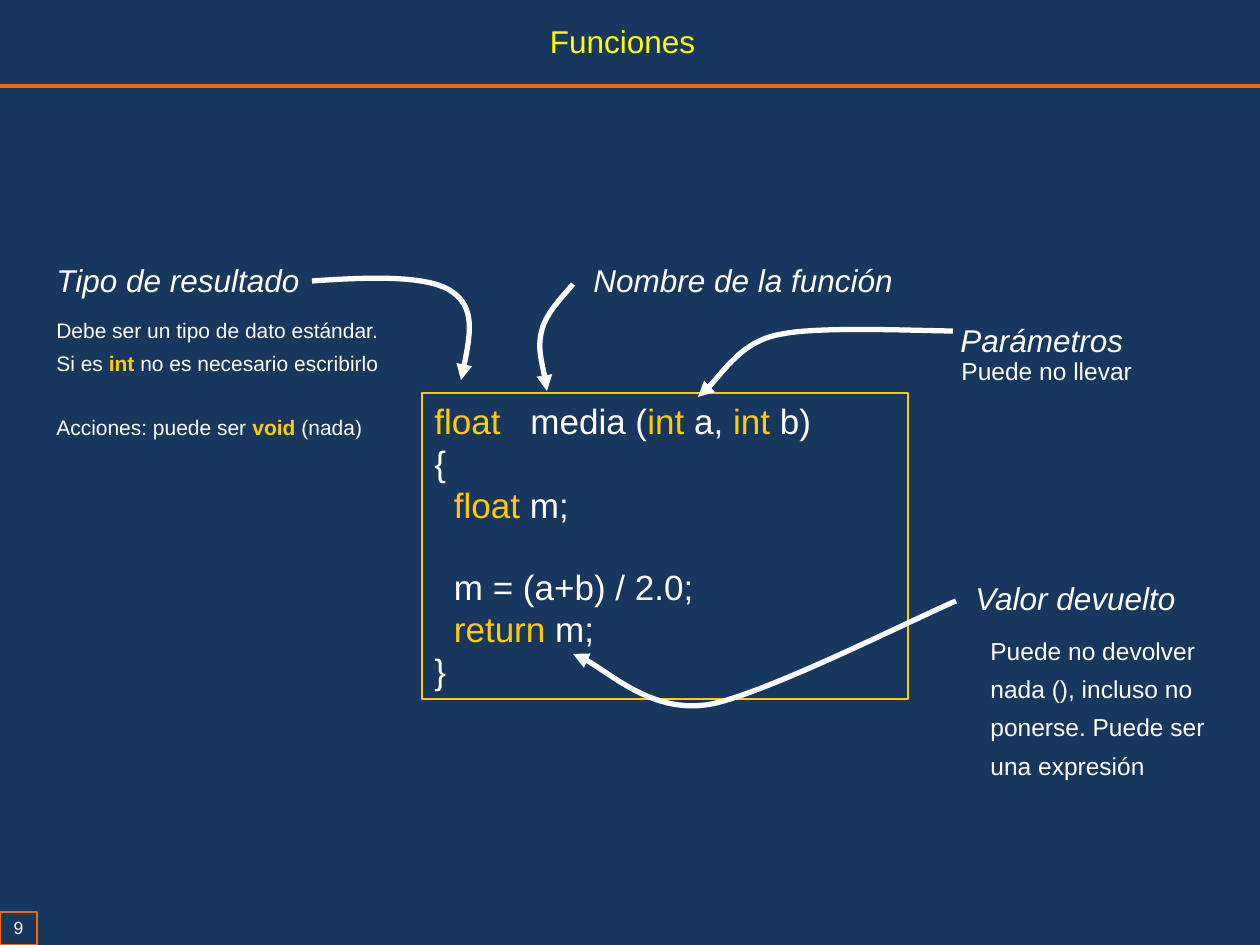
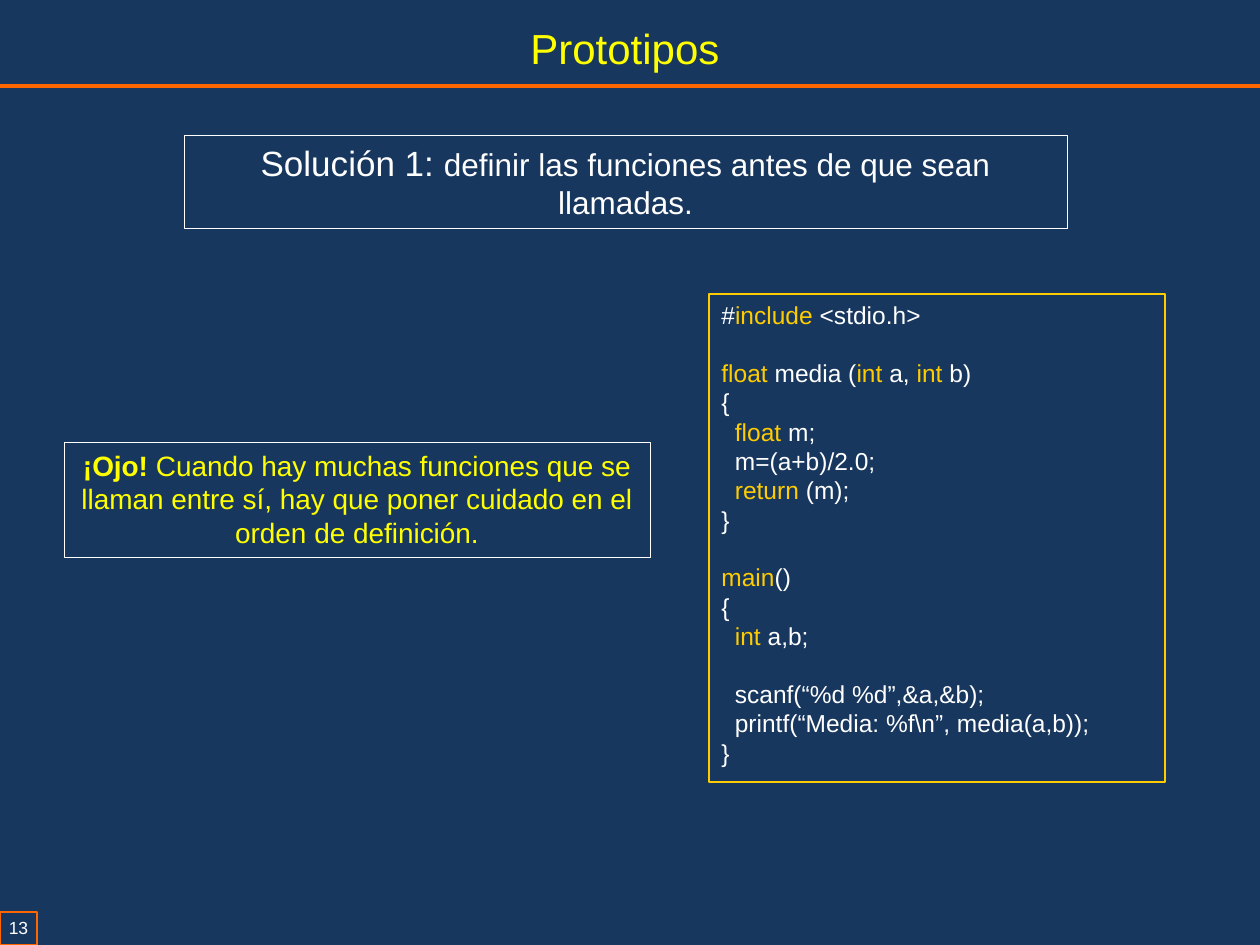
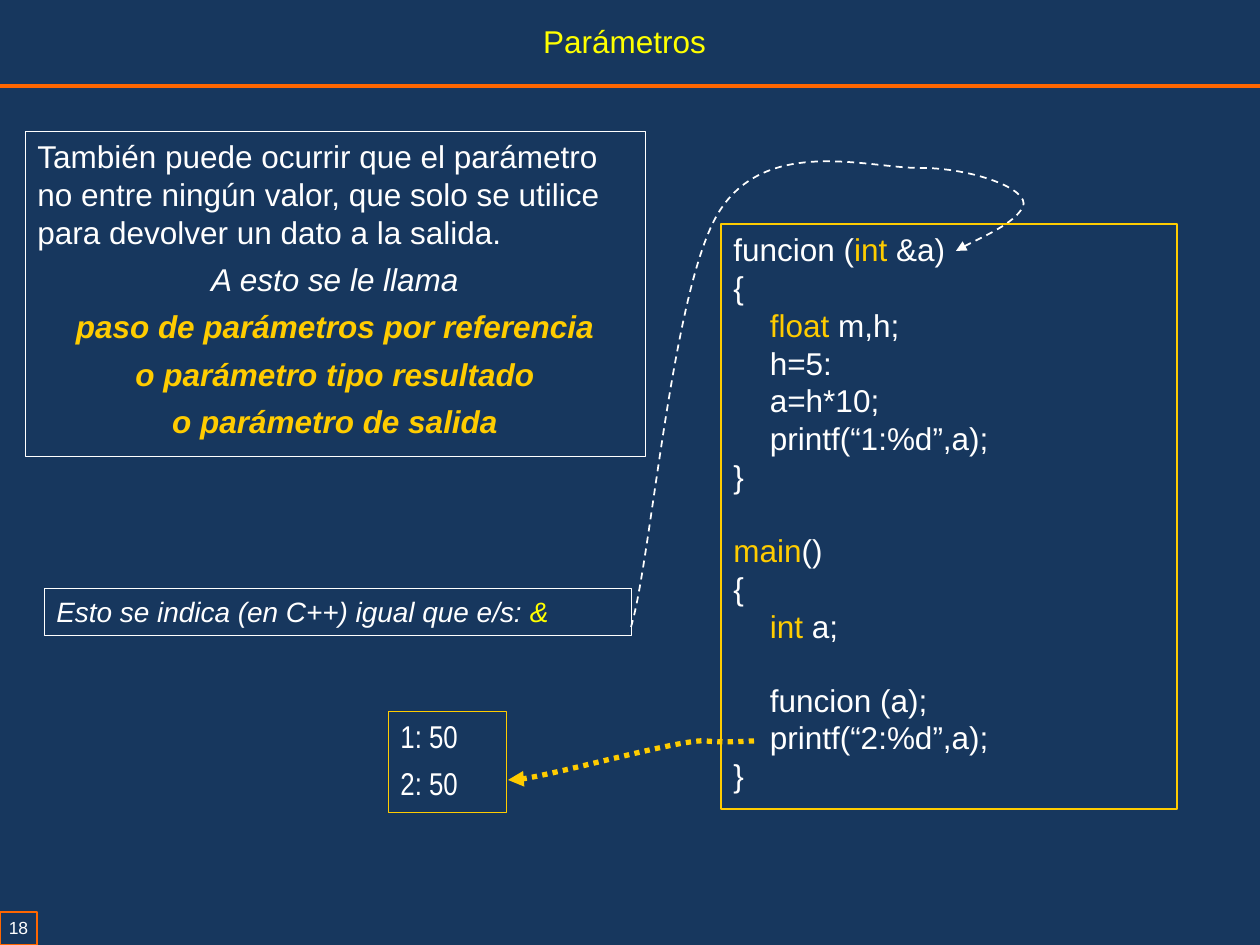
from lxml import etree
from pptx import Presentation
from pptx.dml.color import RGBColor
from pptx.enum import dml, shapes, text
from pptx.oxml.ns import qn
from pptx.util import Pt

PX = 914400 / 126
COLORS = {"back": "17375E", "rule": "FF6600", "title": "FFFF00",
          "text": "FFFFFF", "key": "FFCC00"}
BODY = (0, 86, 1260, 824)
LINE_HEIGHT = 1.15


def emu(*pixels):
    return [round(value * PX) for value in pixels]


def color(name):
    return RGBColor.from_string(COLORS[name])


def inset(box, left, top, width, height):
    return box[0] + left, box[1] + top, width, height


def style_font(font, size=None, ink=None, bold=None, italic=None, name=None):
    if size:
        font.size = Pt(size)
    if ink:
        font.color.rgb = color(ink)
    if bold is not None:
        font.bold = bold
    if italic is not None:
        font.italic = italic
    if name:
        font.name = name


def add_text(slide, box, lines, size, ink="text", italic=None, name="Arial",
             border=None, border_width=0.75, align=None, spacing=None, after=0,
             indent=0, wrap=True, accent=None):
    """[words] take the accent, a leading > indents, an empty line is a gap."""
    if border:
        shape = slide.shapes.add_shape(shapes.MSO_SHAPE.RECTANGLE, *emu(*box))
        shape.shadow.inherit = False
        shape.fill.background()
        shape.line.color.rgb = color(border)
        shape.line.width = Pt(border_width)
    else:
        shape = slide.shapes.add_textbox(*emu(*box))
    frame = shape.text_frame
    frame.word_wrap = wrap
    frame.auto_size = text.MSO_AUTO_SIZE.SHAPE_TO_FIT_TEXT
    frame.vertical_anchor = text.MSO_ANCHOR.TOP
    paragraph, gap = None, 0
    for line in lines:
        if not line:
            gap += size * LINE_HEIGHT * (spacing or 1)
            continue
        paragraph = frame.add_paragraph() if paragraph else frame.paragraphs[0]
        paragraph.alignment = align or text.PP_ALIGN.LEFT
        if spacing:
            paragraph.line_spacing = spacing
        paragraph.space_before = Pt(gap)
        paragraph.space_after = Pt(size * after)
        gap = 0
        if line.startswith(">"):
            line = line[1:]
            paragraph._p.get_or_add_pPr().set("marL", str(emu(indent)[0]))
        style_font(paragraph.font, size, ink, italic=italic, name=name)
        for index, part in enumerate(line.replace("]", "[").split("[")):
            if part:
                run = paragraph.add_run()
                run.text = part
                if index % 2:
                    style_font(run.font, **(accent or {"ink": "key"}))
    return shape


def add_curve(slide, box, points, ink="text", width=3, dash=None):
    """Bezier arrow: a start point, then three points for each segment."""
    placed = [(box[0] + x, box[1] + y) for x, y in points]
    builder = slide.shapes.build_freeform(*placed[0], scale=PX)
    builder.add_line_segments(placed[1:], close=False)
    shape = builder.convert_to_shape()
    shape.shadow.inherit = False
    shape.fill.background()
    shape.line.color.rgb = color(ink)
    shape.line.width = Pt(width)
    if dash:
        shape.line.dash_style = dash
    steps = shape._element.xpath(".//a:lnTo")
    for first in range(0, len(steps), 3):
        bezier = etree.Element(qn("a:cubicBezTo"))
        steps[first].addprevious(bezier)
        for step in steps[first:first + 3]:
            bezier.append(step[0])
            step.getparent().remove(step)
    outline = shape._element.spPr.find(qn("a:ln"))
    etree.SubElement(outline, qn("a:tailEnd"), type="triangle")


def add_slide(presentation, number, title, title_box, size=18, wrap=False):
    slide = presentation.slides.add_slide(presentation.slide_layouts[6])
    # Rule under the title
    rule = slide.shapes.add_connector(
        shapes.MSO_CONNECTOR.STRAIGHT, *emu(0, 86, 1260, 86))
    rule.line.color.rgb = color("rule")
    rule.line.width = Pt(2)
    etree.SubElement(rule._element.spPr, qn("a:effectLst"))
    # Slide number
    badge = add_text(slide, (0, 912, 37, 33), [str(number)], 10, border="rule",
                     align=text.PP_ALIGN.CENTER, wrap=False).text_frame
    badge.margin_left = badge.margin_right = emu(3)[0]
    badge.margin_top = badge.margin_bottom = emu(5)[0]
    # Title
    add_text(slide, title_box, [title], size, "title", wrap=wrap,
             align=text.PP_ALIGN.CENTER)
    return slide


def add_function_anatomy(slide, box):
    # Function listing, with a tab stop after the result type
    code = add_text(slide, inset(box, 422, 307, 486, 306), [
        "[float]\tmedia ([int] a, [int] b)", "{", ">[float] m;", "",
        ">m = (a+b) / 2.0;", ">[return] m;", "}"],
        20, border="key", indent=19.5)
    properties = code.text_frame.paragraphs[0]._p.get_or_add_pPr()
    tabs = etree.Element(qn("a:tabLst"))
    etree.SubElement(tabs, qn("a:tab"), pos=str(emu(96)[0]), algn="l")
    properties.find(qn("a:defRPr")).addprevious(tabs)

    # Part names
    for label, place, align in (
            ("Tipo de resultado", (44, 158, 277, 62), None),
            ("Nombre de la función", (581, 158, 348, 62), None),
            ("Parámetros", (948, 218, 189, 62), None),
            ("Valor devuelto", (937, 476, 277, 62), text.PP_ALIGN.CENTER)):
        add_text(slide, inset(box, *place), [label], 18, italic=True,
                 align=align, spacing=1.3)

    # Arrows from the names to the code
    for points in (
            [(312, 195), (369, 191), (427, 189), (451, 205),
             (476, 221), (469, 258), (461, 294)],
            [(573, 198), (568, 205), (546, 226), (542, 244),
             (537, 262), (546, 292), (547, 305)],
            [(953, 245), (925, 245), (820, 240), (782, 248),
             (743, 254), (711, 303), (698, 311)],
            [(956, 515), (914, 533), (769, 606), (712, 618),
             (655, 629), (595, 574), (573, 568)]):
        add_curve(slide, box, points)

    # Remarks
    for lines, place, size in (
            (["Debe ser un tipo de dato estándar.",
              "Si es [int] no es necesario escribirlo", "",
              "Acciones: puede ser [void] (nada)"], (44, 218, 377, 145), 12),
            (["Puede no llevar"], (949, 255, 198, 50), 14),
            (["Puede no devolver nada (), incluso no ponerse. "
              "Puede ser una expresión"], (978, 535, 248, 165), 14)):
        add_text(slide, inset(box, *place), lines, size, spacing=1.3,
                 accent={"ink": "key", "bold": True})


def add_prototype_solution(slide, box):
    # Program listing
    add_text(slide, inset(box, 709, 208, 456, 488), [
        "#[include] <stdio.h>", "", "[float] media ([int] a, [int] b)", "{",
        ">[float] m;", ">m=(a+b)/2.0;", ">[return] (m);", "}", "",
        "[main]()", "{", ">[int] a,b;", "", ">scanf(“%d %d”,&a,&b);",
        ">printf(“Media: %f\\n”, media(a,b));", "}"],
        14, border="key", indent=13.5)
    # Warning and solution
    framed = {"border": "text", "border_width": 0.25, "after": 0.3,
              "align": text.PP_ALIGN.CENTER}
    add_text(slide, inset(box, 64, 356, 586, 115), [
        "[¡Ojo!] Cuando hay muchas funciones que se llaman entre sí, "
        "hay que poner cuidado en el orden de definición."],
        16, "title", accent={"bold": True}, **framed)
    add_text(slide, inset(box, 184, 49, 883, 93), [
        "[Solución 1: ]definir las funciones antes de que sean llamadas."],
        18, accent={"size": 20}, **framed)


def add_output_parameter(slide, box):
    # Explanation
    thin = {"border_width": 0.25, "after": 0.3}
    note = add_text(slide, inset(box, 25, 45, 620, 325), [
        "También puede ocurrir que el parámetro no entre ningún valor, "
        "que solo se utilice para devolver un dato a la salida.",
        "A esto se le llama", "paso de parámetros por referencia",
        "o parámetro tipo resultado", "o parámetro de salida"],
        18, border="text", **thin)
    paragraphs = note.text_frame.paragraphs
    for paragraph in paragraphs[1:]:
        paragraph.alignment = text.PP_ALIGN.CENTER
        style_font(paragraph.font, italic=True)
    for paragraph in paragraphs[2:]:
        style_font(paragraph.font, ink="key", bold=True)
    add_text(slide, inset(box, 44, 502, 587, 47),
             ["Esto se indica (en C++) igual que e/s: [&]"], 16, italic=True,
             border="text", accent={"ink": "title"}, **thin)

    # Arrows to the output and to the parameter
    add_curve(slide, box, [
        (754, 655), (746, 655), (726, 657), (706, 655),
        (685, 652), (523, 698), (508, 694)],
        "key", dash=dml.MSO_LINE.ROUND_DOT)
    add_curve(slide, box, [
        (631, 541), (651, 476), (672, 201), (719, 126),
        (767, 49), (871, 83), (921, 82), (971, 82), (1031, 103), (1023, 121),
        (1014, 138), (973, 155), (956, 165)],
        width=1, dash=dml.MSO_LINE.DASH)

    # Program listing and its output
    add_text(slide, inset(box, 721, 138, 456, 585), [
        "funcion ([int] &a)", "{", ">[float] m,h;", ">h=5:", ">a=h*10;",
        ">printf(“1:%d”,a);", "}", "", "[main]()", "{", ">[int] a;", "",
        ">funcion (a);", ">printf(“2:%d”,a);", "}"],
        18, border="key", indent=36.5)
    add_text(slide, inset(box, 388, 625, 118, 101), ["1: 50", "2: 50"], 18,
             name="Arial Narrow", border="key", **thin)


presentation = Presentation()
presentation.slide_width, presentation.slide_height = emu(1260, 945)
background = presentation.slide_master.background.fill
background.solid()
background.fore_color.rgb = color("back")

add_function_anatomy(
    add_slide(presentation, 9, "Funciones", (537, 16, 171, 50)), BODY)
add_prototype_solution(
    add_slide(presentation, 13, "Prototipos", (154, 16, 942, 63), 24, True), BODY)
add_output_parameter(
    add_slide(presentation, 18, "Parámetros", (530, 16, 189, 50)), BODY)

presentation.save("out.pptx")
